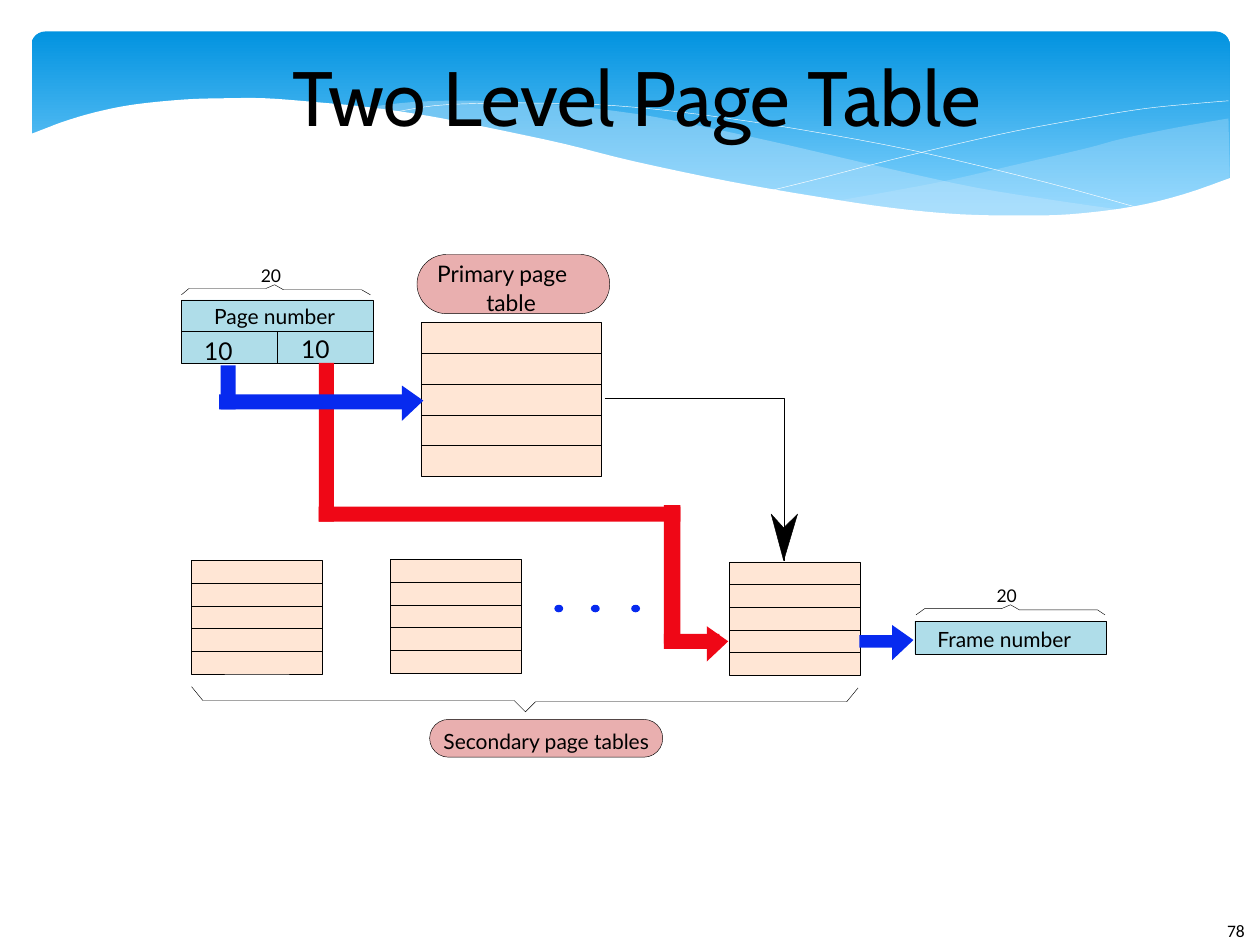
import pptx
import pptx.util
import pptx.dml.color
import pptx.enum.shapes
import pptx.enum.text
import pptx.oxml.ns
from lxml import etree

Inches, Pt = pptx.util.Inches, pptx.util.Pt
SHAPE = pptx.enum.shapes.MSO_SHAPE
ALIGN = pptx.enum.text.PP_ALIGN
ANCHOR = pptx.enum.text.MSO_ANCHOR

BLACK, WHITE = "000000", "FFFFFF"
BLUE, RED = "072AEF", "EF0716"
CYAN, PEACH, PINK = "AFDDE9", "FFE6D5", "E9AFAF"
WAVE = "C6E7FC"
HAIRLINE = Pt(0.25)

BANNER = (0.25, 0.25, 9.51, 1.56)
RIGHT_WAVE = [
    [(9.75, 0.94), (9.35, 1.01), (8.91, 1.1), (8.61, 1.18), (8.05, 1.31),
     (7.53, 1.43), (7.06, 1.52), (6.61, 1.6)],
    [(6.61, 1.6), (7.05, 1.65), (7.45, 1.69), (7.81, 1.72), (8.14, 1.72),
     (8.54, 1.7), (8.89, 1.66), (9.21, 1.6), (9.49, 1.52), (9.76, 1.41)],
]
MIDDLE_WAVE = [
    [(8.93, 1.67), (8.37, 1.59), (7.75, 1.49), (7.06, 1.34), (6.29, 1.16),
     (5.84, 1.06), (5.41, 0.97), (5.02, 0.9), (4.42, 0.83), (3.8, 0.8),
     (3.28, 0.81), (2.86, 0.86)],
    [(2.86, 0.86), (3.42, 0.94), (4.04, 1.06), (4.49, 1.16), (5.3, 1.35),
     (6.01, 1.5), (6.65, 1.61), (7.22, 1.68), (7.73, 1.72), (8.18, 1.73),
     (8.57, 1.71), (8.93, 1.67)],
]
WAVE_LINES = [
    [(3.09, 0.9), (3.44, 0.84), (3.87, 0.82), (4.33, 0.82), (4.89, 0.84),
     (5.56, 0.91), (6.36, 1.03), (7.27, 1.2), (8.31, 1.45), (9.07, 1.66)],
    [(6.13, 1.51), (6.53, 1.41), (6.95, 1.3), (7.48, 1.17), (8.06, 1.04),
     (8.66, 0.93), (9.1, 0.86), (9.51, 0.82), (9.75, 0.8)],
]
WHITE_WAVE = [
    [(9.77, 1.41), (9.4, 1.54), (8.99, 1.64), (8.5, 1.7), (8.09, 1.71),
     (7.61, 1.7), (7.08, 1.65), (6.48, 1.56), (5.79, 1.44), (5.03, 1.28),
     (4.47, 1.14), (3.91, 1.02), (3.4, 0.92), (2.92, 0.85), (2.5, 0.81),
     (2.11, 0.78), (1.77, 0.78), (1.46, 0.79), (1.06, 0.83), (0.76, 0.89),
     (0.52, 0.96), (0.36, 1.02), (0.23, 1.07)],
    [(0.23, 2.24), (9.77, 2.24)],
]

TABLES = [
    (3.34, 2.56, 1.43, 1.22),
    (1.52, 4.45, 1.04, 0.9),
    (3.1, 4.44, 1.04, 0.9),
    (5.79, 4.46, 1.04, 0.9),
]
ROWS = 5
FIELDS = [(1.44, 2.38, 1.52, 0.25), (1.44, 2.63, 1.52, 0.25), (7.26, 4.93, 1.52, 0.26)]
PILLS = [(3.31, 2.02, 1.53, 0.47), (3.41, 5.71, 1.85, 0.3)]
BARS = [
    (RED, (2.53, 2.88, 0.12, 1.26)),
    (RED, (2.53, 4.02, 2.87, 0.12)),
    (RED, (5.27, 4.01, 0.13, 1.1)),
    (RED, (5.27, 5.03, 0.44, 0.12)),
    (BLUE, (1.75, 2.9, 0.12, 0.35)),
    (BLUE, (1.74, 3.13, 1.5, 0.12)),
    (BLUE, (6.82, 5.04, 0.31, 0.1)),
]
HEADS = [(BLUE, 3.19, 3.06), (RED, 5.61, 4.97), (BLUE, 7.08, 4.96)]
DOTS = [4.4, 4.69, 5.01]
BRACES = [
    [(1.44, 2.34), (1.5, 2.29), (2.11, 2.29), (2.18, 2.26),
     (2.25, 2.3), (2.87, 2.3), (2.94, 2.34)],
    [(7.27, 4.88), (7.34, 4.83), (7.95, 4.83), (8.02, 4.8),
     (8.09, 4.84), (8.71, 4.84), (8.77, 4.88)],
    [(1.52, 5.45), (1.61, 5.56), (4.08, 5.56), (4.17, 5.65),
     (4.25, 5.57), (6.72, 5.57), (6.81, 5.46)],
]
LOOKUP = [(4.8, 3.16), (6.22, 3.16), (6.22, 4.45)]
LOOKUP_HEAD = [(6.22, 4.19), (6.12, 4.08), (6.22, 4.45), (6.33, 4.08)]
LABELS = [
    ("Page number", 12, (1.7, 2.41, 1.07, 0.22)),
    ("Frame number", 12, (7.44, 4.97, 1.17, 0.22)),
    ("20", 10, (2.07, 2.1, 0.22, 0.18)),
    ("20", 10, (7.91, 4.64, 0.22, 0.18)),
    ("Primary page", 13, (3.47, 2.06, 1.24, 0.26)),
    ("table", 13, (3.86, 2.29, 0.52, 0.26)),
    ("10", 14, (1.62, 2.67, 0.3, 0.26)),
    ("10", 14, (2.39, 2.65, 0.3, 0.26)),
    ("Secondary page tables", 12, (3.52, 5.78, 1.77, 0.22)),
]

prs = pptx.Presentation()
prs.slide_width, prs.slide_height = Inches(10), Inches(7.5)
s = prs.slides.add_slide(prs.slide_layouts[6])


def rgb(value):
    return pptx.dml.color.RGBColor.from_string(value)


def paint(sp, fill=None, line=None, alpha=None):
    sp.shadow.inherit = False
    if fill:
        sp.fill.solid()
        sp.fill.fore_color.rgb = rgb(fill)
        if alpha:
            clr = sp.fill._xPr.find(".//" + pptx.oxml.ns.qn("a:srgbClr"))
            etree.SubElement(clr, pptx.oxml.ns.qn("a:alpha")).set("val", str(alpha * 1000))
    else:
        sp.fill.background()
    if line:
        sp.line.color.rgb = rgb(line)
        sp.line.width = HAIRLINE
    else:
        sp.line.fill.background()
    return sp


def box(kind, at, fill, line=None):
    return paint(s.shapes.add_shape(kind, *map(Inches, at)), fill, line)


def outline(points, fill=None, line=None, alpha=None):
    start, *rest = [(Inches(x), Inches(y)) for x, y in points]
    fb = s.shapes.build_freeform(*start)
    fb.add_line_segments(rest, close=bool(fill))
    return paint(fb.convert_to_shape(), fill, line, alpha)


def smooth(points, steps=4):
    padded = [points[0]] + points + [points[-1]]
    curve = [points[0]]
    for a, b, c, d in zip(padded, padded[1:], padded[2:], padded[3:]):
        for t in (n / steps for n in range(1, steps + 1)):
            curve.append(tuple(
                (2 * q + (r - p) * t + (2 * p - 5 * q + 4 * r - u) * t ** 2
                 + (3 * q - p - 3 * r + u) * t ** 3) / 2
                for p, q, r, u in zip(a, b, c, d)))
    return curve


def wave(edges, fill, alpha=None):
    outline([pt for edge in edges for pt in smooth(edge)], fill, alpha=alpha)


def rule(x1, y1, x2, y2):
    cx = s.shapes.add_connector(pptx.enum.shapes.MSO_CONNECTOR.STRAIGHT,
                                *map(Inches, (x1, y1, x2, y2)))
    cx.line.color.rgb = rgb(BLACK)
    cx.line.width = HAIRLINE
    etree.SubElement(cx._element.spPr, pptx.oxml.ns.qn("a:effectLst"))


def label(text, size, at, font="Lato", align=ALIGN.LEFT, inset=0, **frame):
    tf = s.shapes.add_textbox(*map(Inches, at)).text_frame
    margins = {f"margin_{side}": Inches(inset) for side in ("left", "right")}
    margins.update({f"margin_{side}": Inches(inset / 2) for side in ("top", "bottom")})
    for name, value in {**margins, "word_wrap": False, **frame}.items():
        setattr(tf, name, value)
    p = tf.paragraphs[0]
    p.alignment = align
    r = p.add_run()
    r.text = text
    for name, value in {"size": Pt(size), "name": font}.items():
        setattr(r.font, name, value)
    r.font.color.rgb = rgb(BLACK)


banner = box(SHAPE.ROUNDED_RECTANGLE, BANNER, WHITE)
banner.adjustments[0] = 0.07
banner.fill.gradient()
banner.fill.gradient_angle = 270
for stop, (color, position) in zip(banner.fill.gradient_stops, [("0293E0", 0), ("83D3FE", 0.9)]):
    stop.color.rgb = rgb(color)
    stop.position = position
wave(RIGHT_WAVE, WAVE, 29)
wave(MIDDLE_WAVE, WAVE, 40)
for points in WAVE_LINES:
    outline(smooth(points), line=WHITE)
wave(WHITE_WAVE, WHITE)

label("78", 10, (9.64, 7.25, 0.61, 0.4), "Calibri", inset=0.1, word_wrap=True)
label("Two Level Page Table", 44, (1, 0.25, 8.11, 1.02), "Cabin", ALIGN.CENTER,
      word_wrap=True, vertical_anchor=ANCHOR.MIDDLE)

for at in FIELDS:
    box(SHAPE.RECTANGLE, at, CYAN, BLACK)
rule(2.2, 2.63, 2.2, 2.88)
for x, y, w, h in TABLES:
    box(SHAPE.RECTANGLE, (x, y, w, h), PEACH, BLACK)
    for row in range(1, ROWS):
        rule(x, y + h * row / ROWS, x + w, y + h * row / ROWS)
for at in PILLS:
    box(SHAPE.ROUNDED_RECTANGLE, at, PINK, BLACK).adjustments[0] = 0.5
for points in BRACES + [LOOKUP]:
    outline(points, line=BLACK)
outline(LOOKUP_HEAD, BLACK, BLACK)
for color, at in BARS:
    box(SHAPE.RECTANGLE, at, color)
for color, x, y in HEADS:
    outline([(x, y), (x, y + 0.28), (x + 0.17, y + 0.12)], color)
for x in DOTS:
    box(SHAPE.OVAL, (x, 4.8, 0.07, 0.06), BLUE)
for text, size, at in LABELS:
    label(text, size, at)

prs.save("out.pptx")
